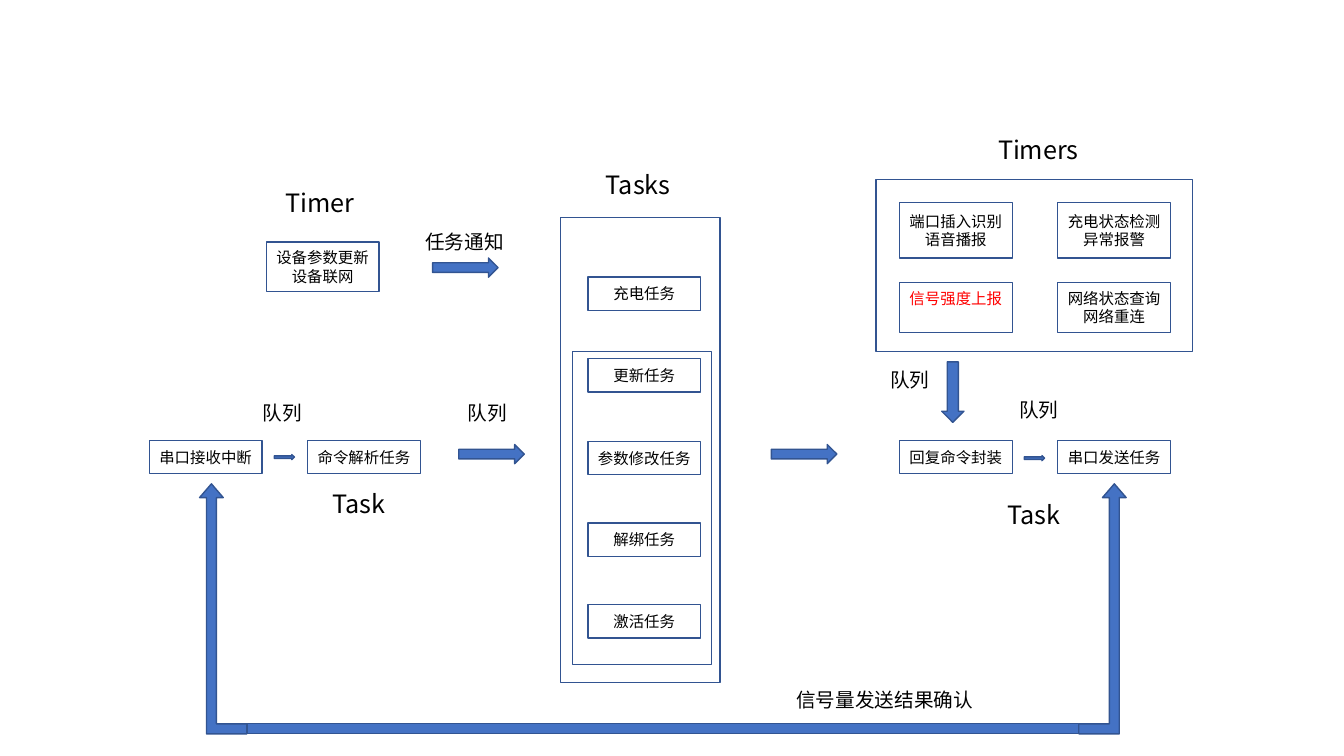
from dataclasses import dataclass

from lxml.etree import SubElement
from pptx import Presentation
from pptx.dml.color import RGBColor
from pptx.enum.shapes import MSO_SHAPE as Preset
from pptx.enum.text import MSO_ANCHOR as Anchor, PP_ALIGN as Align
from pptx.oxml.ns import qn
from pptx.shapes.autoshape import Shape
from pptx.slide import Slide
from pptx.text.text import TextFrame
from pptx.util import Pt

PX = 9144  # EMU in one px, 100 px to the inch
FONT = "Noto Sans CJK SC"
WHITE = RGBColor(0xFF, 0xFF, 0xFF)
BLACK = RGBColor(0x00, 0x00, 0x00)
RED = RGBColor(0xFF, 0x00, 0x00)
BLUE = RGBColor(0x44, 0x72, 0xC4)
OUTLINE = RGBColor(0x32, 0x54, 0x91)

BOX_WIDTH, BOX_HEIGHT = 112, 33
MAIN_ROW = 437
TASK_LEFT, TASK_TOP, TASK_STEP = 583, 275, 81.3
REPLY_LEFT, SEND_LEFT = 892, 1049


@dataclass(frozen=True)
class Box:
    left: int
    top: int
    lines: tuple[str, ...]
    height: int = BOX_HEIGHT
    color: RGBColor = BLACK
    top_inset: int | None = None


@dataclass(frozen=True)
class Block:
    preset: Preset
    left: int
    top: int
    width: int
    height: int
    fill: RGBColor | None = BLUE
    flipped: bool = False


@dataclass(frozen=True)
class Label:
    left: int
    top: int
    width: int
    text: str
    size: int = 14


TASKS = ("充电任务", "更新任务", "参数修改任务", "解绑任务", "激活任务")
BOXES = [
    Box(148, MAIN_ROW, ("串口接收中断",)),
    Box(305, MAIN_ROW, ("命令解析任务",)),
    Box(REPLY_LEFT, MAIN_ROW, ("回复命令封装",)),
    Box(SEND_LEFT, MAIN_ROW, ("串口发送任务",)),
    Box(REPLY_LEFT, 280, ("信号强度上报",), 50, RED, 7),
    Box(SEND_LEFT, 280, ("网络状态查询", "网络重连"), 50),
    Box(REPLY_LEFT, 201, ("端口插入识别", "语音播报"), 55),
    Box(SEND_LEFT, 201, ("充电状态检测", "异常报警"), 55),
    Box(264, 240, ("设备参数更新", "设备联网"), 49),
] + [
    Box(TASK_LEFT, round(TASK_TOP + row * TASK_STEP), (name,))
    for row, name in enumerate(TASKS)
]

BLOCKS = [
    # Arrows between the stages
    Block(Preset.RIGHT_ARROW, 272, 451, 20, 5),
    Block(Preset.RIGHT_ARROW, 455, 441, 65, 19),
    Block(Preset.RIGHT_ARROW, 765, 441, 65, 19),
    Block(Preset.RIGHT_ARROW, 1016, 452, 20, 5),
    Block(Preset.RIGHT_ARROW, 429, 256, 65, 19),
    Block(Preset.DOWN_ARROW, 934, 359, 22, 60),
    # Frames around tasks and timers
    Block(Preset.RECTANGLE, 556, 216, 158, 461, None),
    Block(Preset.RECTANGLE, 568, 349, 138, 310, None),
    Block(Preset.RECTANGLE, 869, 178, 314, 171, None),
    # Confirmation path along the bottom
    Block(Preset.BENT_UP_ARROW, 1070, 480, 47, 248),
    Block(Preset.BENT_UP_ARROW, 198, 480, 47, 248, flipped=True),
    Block(Preset.RECTANGLE, 245, 718, 825, 10),
]

LABELS = [
    Label(980, 128, 128, "Timers", 18),
    Label(591, 163, 128, "Tasks", 18),
    Label(273, 181, 128, "Timer", 18),
    Label(320, 480, 128, "Task", 18),
    Label(989, 490, 128, "Task", 18),
    Label(780, 678, 209, "信号量发送结果确认"),
    Label(412, 223, 101, "任务通知"),
    Label(251, 393, 69, "队列"),
    Label(454, 393, 69, "队列"),
    Label(1001, 390, 69, "队列"),
    Label(873, 360, 69, "队列"),
]


def write_lines(frame: TextFrame, lines: tuple[str, ...], size: int,
                color: RGBColor, align: Align) -> None:
    frame.word_wrap = True
    for index, line in enumerate(lines):
        paragraph = frame.add_paragraph() if index else frame.paragraphs[0]
        paragraph.alignment = align
        run = paragraph.add_run()
        run.text = line
        run.font.size = Pt(size)
        run.font.name = FONT
        run.font.color.rgb = color
        SubElement(run.font._element, qn("a:ea")).set("typeface", FONT)


def draw_block(slide: Slide, block: Block) -> Shape:
    shape = slide.shapes.add_shape(
        block.preset, block.left * PX, block.top * PX,
        block.width * PX, block.height * PX)
    shape.shadow.inherit = False
    shape.line.color.rgb = OUTLINE
    shape.line.width = Pt(1)
    if block.fill is None:
        shape.fill.background()
    else:
        shape.fill.solid()
        shape.fill.fore_color.rgb = block.fill
    if block.preset == Preset.BENT_UP_ARROW:
        for index, value in enumerate((0.21, 0.25, 0.29)):
            shape.adjustments[index] = value
    if block.flipped:
        shape._element.spPr.xfrm.set("flipH", "1")
    return shape


def draw_box(slide: Slide, box: Box) -> None:
    shape = draw_block(slide, Block(Preset.RECTANGLE, box.left, box.top,
                                    BOX_WIDTH, box.height, WHITE))
    frame = shape.text_frame
    frame.vertical_anchor = Anchor.MIDDLE
    if box.top_inset is not None:
        frame.vertical_anchor = Anchor.TOP
        frame.margin_top = box.top_inset * PX
    write_lines(frame, box.lines, 11, box.color, Align.CENTER)


def draw_label(slide: Slide, label: Label) -> None:
    height = 40 if label.size == 18 else 34
    shape = slide.shapes.add_textbox(label.left * PX, label.top * PX,
                                     label.width * PX, height * PX)
    write_lines(shape.text_frame, (label.text,), label.size, BLACK, Align.LEFT)


def main() -> None:
    presentation = Presentation()
    presentation.slide_width = 1333 * PX
    presentation.slide_height = 750 * PX
    slide = presentation.slides.add_slide(presentation.slide_layouts[6])
    for box in BOXES:
        draw_box(slide, box)
    for block in BLOCKS:
        draw_block(slide, block)
    for label in LABELS:
        draw_label(slide, label)
    presentation.save("out.pptx")


if __name__ == "__main__":
    main()
